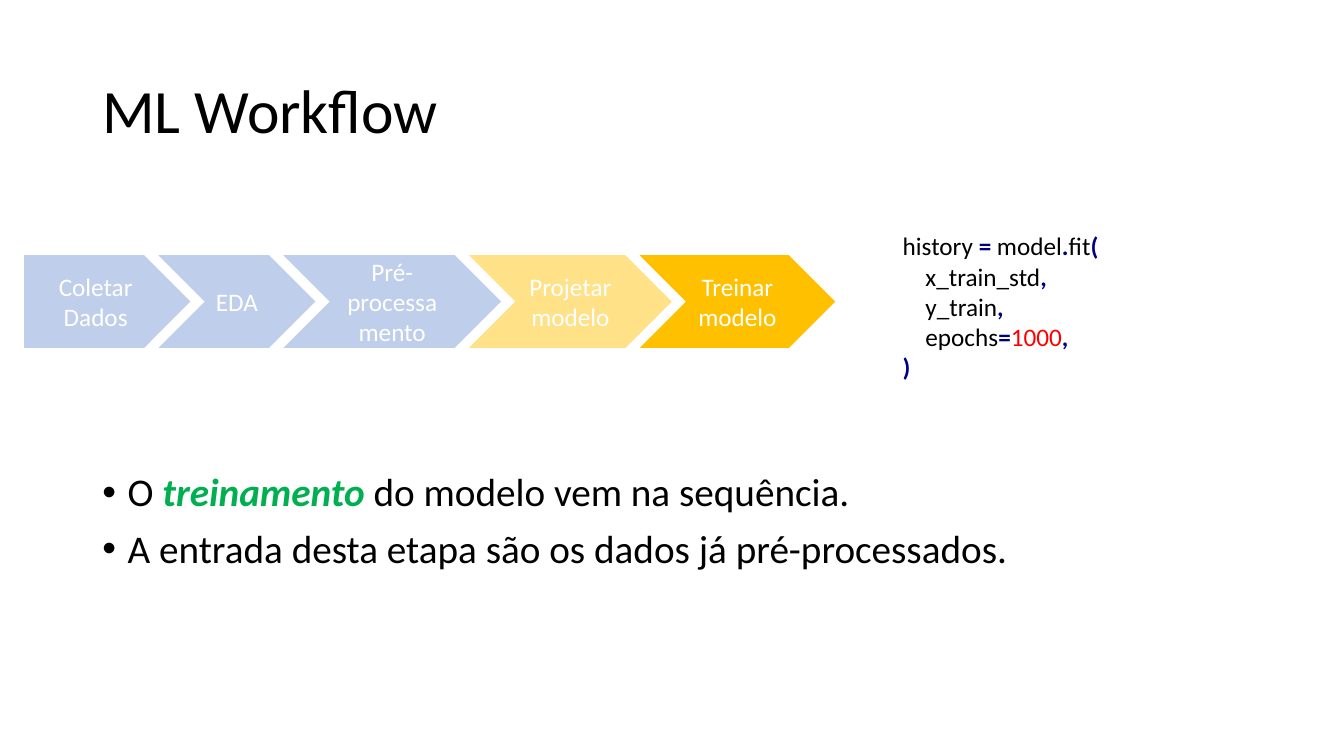
import pptx
import pptx.util
import pptx.dml.color
import pptx.enum.shapes
import pptx.enum.text
import pptx.oxml
import pptx.oxml.ns

Cm, Pt = pptx.util.Cm, pptx.util.Pt
RGBColor = pptx.dml.color.RGBColor
MSO_SHAPE = pptx.enum.shapes.MSO_SHAPE
MSO_ANCHOR = pptx.enum.text.MSO_ANCHOR
PP_ALIGN = pptx.enum.text.PP_ALIGN
qn = pptx.oxml.ns.qn

BLACK = RGBColor(0x00, 0x00, 0x00)
WHITE = RGBColor(0xFF, 0xFF, 0xFF)
BLUE = RGBColor(0x44, 0x72, 0xC4)
AMBER = RGBColor(0xFF, 0xC0, 0x00)
GREEN = RGBColor(0x00, 0xB0, 0x50)
NAVY = RGBColor(0x00, 0x00, 0x80)
RED = RGBColor(0xFF, 0x00, 0x00)
FONT = "Calibri"

STYLES = {
    "plain": (BLACK, False, False),
    "key": (GREEN, True, True),
    "op": (NAVY, True, False),
    "num": (RED, False, False),
}

TITLE = [[("ML Workflow", "plain")]]
BULLETS = [
    [("O ", "plain"), ("treinamento", "key"), (" do modelo vem na sequência.", "plain")],
    [("A entrada desta etapa são os dados já pré-processados.", "plain")],
]
CODE = [
    [("history ", "plain"), ("=", "op"), (" model", "plain"), (".", "op"),
     ("fit", "plain"), ("(", "op")],
    [("    x_train_std", "plain"), (",", "op")],
    [("    y_train", "plain"), (",", "op")],
    [("    epochs", "plain"), ("=", "op"), ("1000", "num"), (",", "op")],
    [(")", "op")],
]
STEPS = [
    ("Coletar\nDados", 4.19, BLUE, 34),
    ("EDA", 3.96, BLUE, 34),
    ("Pré-processamento", 5.49, BLUE, 34),
    ("Projetar modelo", 5.11, AMBER, 47),
    ("Treinar modelo", 4.93, AMBER, 100),
]
STEP_LEFT, STEP_TOP, STEP_HEIGHT, STEP_OVERLAP = 0.61, 6.43, 2.34, 0.81


def add_text(slide, box, lines, size, anchor=MSO_ANCHOR.TOP, spacing=1.0,
             before=0, bullet=False):
    tf = slide.shapes.add_textbox(*(Cm(v) for v in box)).text_frame
    tf.word_wrap = True
    tf.vertical_anchor = anchor
    for i, line in enumerate(lines):
        p = tf.paragraphs[0] if i == 0 else tf.add_paragraph()
        if bullet:
            pPr = p._p.get_or_add_pPr()
            pPr.set("marL", str(Cm(0.64)))
            pPr.set("indent", str(-Cm(0.64)))
            pptx.oxml.ns.qn("a:buFont")
            bu_font = pPr.makeelement(qn("a:buFont"), {"typeface": "Arial"})
            bu_char = pPr.makeelement(qn("a:buChar"), {"char": "•"})
            pPr.extend([bu_font, bu_char])
        p.line_spacing = spacing
        p.space_before = Pt(before if i else 0)
        p.font.name = FONT
        p.font.size = Pt(size)
        for text, style in line:
            r = p.add_run()
            r.text = text
            r.font.color.rgb, r.font.bold, r.font.italic = STYLES[style]


def add_step(slide, kind, left, width, label, color, opacity):
    sp = slide.shapes.add_shape(kind, Cm(left), Cm(STEP_TOP), Cm(width), Cm(STEP_HEIGHT))
    sp.shadow.inherit = False
    sp.line.fill.background()
    sp.fill.solid()
    sp.fill.fore_color.rgb = color
    if opacity < 100:
        clr = sp._element.spPr.find(qn("a:solidFill")).find(qn("a:srgbClr"))
        clr.append(clr.makeelement(qn("a:alpha"), {"val": str(opacity * 1000)}))
    tf = sp.text_frame
    tf.word_wrap = True
    tf.vertical_anchor = MSO_ANCHOR.MIDDLE
    tf.text = label
    for p in tf.paragraphs:
        p.alignment = PP_ALIGN.CENTER
        p.font.name = FONT
        p.font.size = Pt(18)
        p.font.color.rgb = WHITE


def main():
    prs = pptx.Presentation()
    prs.slide_width, prs.slide_height = Cm(33.87), Cm(19.05)
    slide = prs.slides.add_slide(prs.slide_layouts[6])

    add_text(slide, (2.33, 1.01, 29.21, 3.68), TITLE, 44, MSO_ANCHOR.MIDDLE, 0.9)
    add_text(slide, (2.33, 11.79, 30.5, 7.26), BULLETS, 28, spacing=0.9,
             before=10, bullet=True)

    left = STEP_LEFT
    for i, (label, width, color, opacity) in enumerate(STEPS):
        kind = MSO_SHAPE.CHEVRON if i else MSO_SHAPE.PENTAGON
        add_step(slide, kind, left, width, label, color, opacity)
        left += width - STEP_OVERLAP

    add_text(slide, (22.5, 5.69, 5.84, 4.11), CODE, 18)
    prs.save("out.pptx")


if __name__ == "__main__":
    main()
